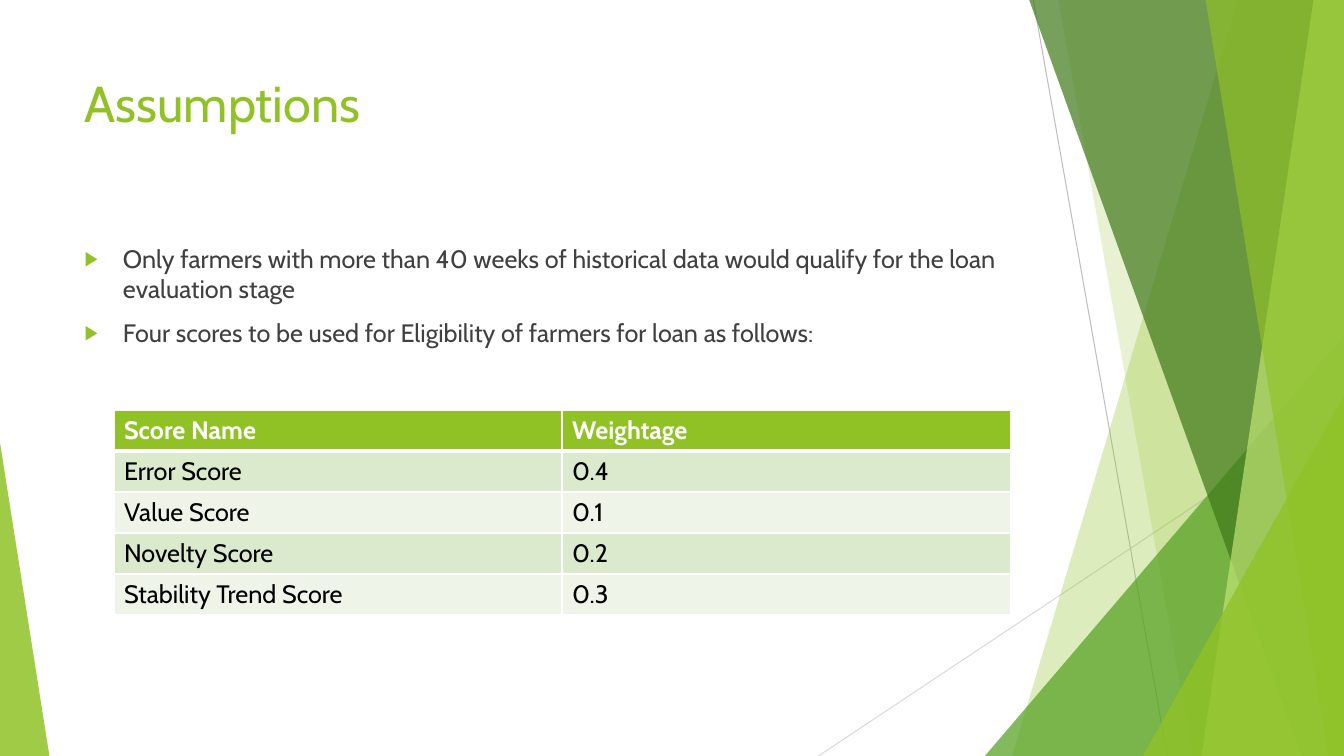
from lxml import etree
from pptx import Presentation
from pptx import util as u
from pptx.dml.color import RGBColor
from pptx.enum import shapes, text
from pptx.oxml import ns

# Content
TITLE = "Assumptions"
POINTS = [
    "Only farmers with more than 40 weeks of historical data would qualify for the loan evaluation stage",
    "Four scores to be used for Eligibility of farmers for loan as follows:",
]
SCORES = [
    ("Score Name", "Weightage"),
    ("Error Score", "0.4"),
    ("Value Score", "0.1"),
    ("Novelty Score", "0.2"),
    ("Stability Trend Score", "0.3"),
]

# Theme
THEME = {
    "font": "Cabin", "head": 36, "text": 18, "hair": 0.75,
    "lime": "90C226", "leaf": "54A021", "moss": "3F7819", "pale": "C0E474",
    "ink": "404040", "black": "000000", "white": "FFFFFF",
    "bands": ("EEF4E8", "DBE9CD"),
}

# Places as percent of slide width and height: left, top, width, height
SIZE = (13.33, 7.5)
AREAS = {
    "title": (5.55, 8.93, 70.5, 19.2),
    "body": (5.55, 31.47, 70.5, 56.53),
    "table": (8.48, 54.27, 66.68, 27.07),
}
LINES = [((76.88, 0), (86.85, 100), "BFBFBF"), ((100, 53.73), (60.9, 100), "D9D9D9")]
# Bands run to the right edge: top x, foot x.  Peaks stand on the foot: box, tip.
DECOR = [
    ("band", (92.1, 75.3), "lime", 30),
    ("band", (78.75, 88.73), "lime", 20),
    ("peak", ((73.28, 44.4, 26.72, 55.6), 1), "leaf", 72),
    ("band", (76.58, 96.83), "moss", 70),
    ("band", (97.73, 89.4), "pale", 70),
    ("band", (89.7, 98.85), "lime", 65),
    ("peak", ((85.05, 52.4, 14.95, 47.6), 1), "lime", 80),
    ("peak", ((0, 58.53, 3.68, 41.47), 0), "lime", 85),
]


def spot(x, y):
    return u.Inches(SIZE[0] * x / 100), u.Inches(SIZE[1] * y / 100)


def place(area):
    return spot(*area[:2]) + spot(*area[2:])


def paint(part, tint):
    part.solid()
    part.fore_color.rgb = RGBColor.from_string(tint)


def add(node, tag, **attrs):
    return etree.SubElement(node, ns.qn(tag), attrs)


def style(run, tint, **form):
    form = {"name": THEME["font"], "size": u.Pt(THEME["text"]), **form}
    for key, val in form.items():
        setattr(run.font, key, val)
    run.font.color.rgb = RGBColor.from_string(tint)


def set_frame(holder, area):
    for key, val in zip(("left", "top", "width", "height"), place(area)):
        setattr(holder, key, val)
    form = {"word_wrap": True, "auto_size": text.MSO_AUTO_SIZE.NONE,
            "vertical_anchor": text.MSO_ANCHOR.TOP}
    for key, val in form.items():
        setattr(holder.text_frame, key, val)
    holder.element.getparent().append(holder.element)  # bring to front
    return holder.text_frame


def draw_decor(slide):
    for start, end, tint in LINES:
        line = slide.shapes.add_connector(
            shapes.MSO_CONNECTOR.STRAIGHT, *spot(*start), *spot(*end))
        line.line.width = u.Pt(THEME["hair"])
        line.line.color.rgb = RGBColor.from_string(tint)
        add(line.element.spPr, "a:effectLst")
    for kind, form, tint, alpha in DECOR:
        if kind == "band":
            top, foot = form
            path = slide.shapes.build_freeform(*spot(top, 0))
            path.add_line_segments([spot(100, 0), spot(100, 100), spot(foot, 100)])
            facet = path.convert_to_shape()
        else:
            box, tip = form
            facet = slide.shapes.add_shape(
                shapes.MSO_SHAPE.ISOSCELES_TRIANGLE, *place(box))
            facet.adjustments[0] = tip
        facet.shadow.inherit = False
        facet.line.fill.background()
        paint(facet.fill, THEME[tint])
        shade = facet.element.spPr.find(".//" + ns.qn("a:srgbClr"))
        add(shade, "a:alpha", val=str(alpha * 1000))


def write_text(slide):
    title, body = slide.placeholders
    para = set_frame(title, AREAS["title"]).paragraphs[0]
    para.alignment = text.PP_ALIGN.LEFT
    run = para.add_run()
    run.text = TITLE
    style(run, THEME["lime"], size=u.Pt(THEME["head"]))

    frame = set_frame(body, AREAS["body"])
    for num, point in enumerate(POINTS):
        para = frame.add_paragraph() if num else frame.paragraphs[0]
        para.space_before = u.Pt(10)
        run = para.add_run()
        run.text = point
        style(run, THEME["ink"])
        # Green arrow bullet with a hanging indent
        props = para._p.get_or_add_pPr()
        dent = u.Inches(0.38)
        props.set("marL", str(dent))
        props.set("indent", str(-dent))
        add(add(props, "a:buClr"), "a:srgbClr", val=THEME["lime"])
        add(props, "a:buSzPct", val="80000")
        add(props, "a:buFont", typeface="Arial")
        add(props, "a:buChar", char="▶")


def edge(cell, row):
    props = cell._tc.get_or_add_tcPr()
    for num, side in enumerate("LRTB"):
        thick = (row == 0 and side == "B") or (row == 1 and side == "T")
        line = etree.Element(ns.qn("a:ln" + side), w=str(u.Pt(3 if thick else 1)))
        add(add(line, "a:solidFill"), "a:srgbClr", val=THEME["white"])
        props.insert(num, line)


def draw_table(slide):
    grid = slide.shapes.add_table(
        len(SCORES), len(SCORES[0]), *place(AREAS["table"])).table
    for row, texts in enumerate(SCORES):
        head = row == 0
        for col, word in enumerate(texts):
            cell = grid.cell(row, col)
            paint(cell.fill, THEME["lime"] if head else THEME["bands"][row % 2])
            edge(cell, row)
            run = cell.text_frame.paragraphs[0].add_run()
            run.text = word
            style(run, THEME["white" if head else "black"], bold=head)


def main():
    deck = Presentation()
    deck.slide_width, deck.slide_height = map(u.Inches, SIZE)
    slide = deck.slides.add_slide(deck.slide_layouts[1])
    paint(slide.background.fill, THEME["white"])
    draw_decor(slide)
    write_text(slide)
    draw_table(slide)
    deck.save("out.pptx")


if __name__ == "__main__":
    main()
